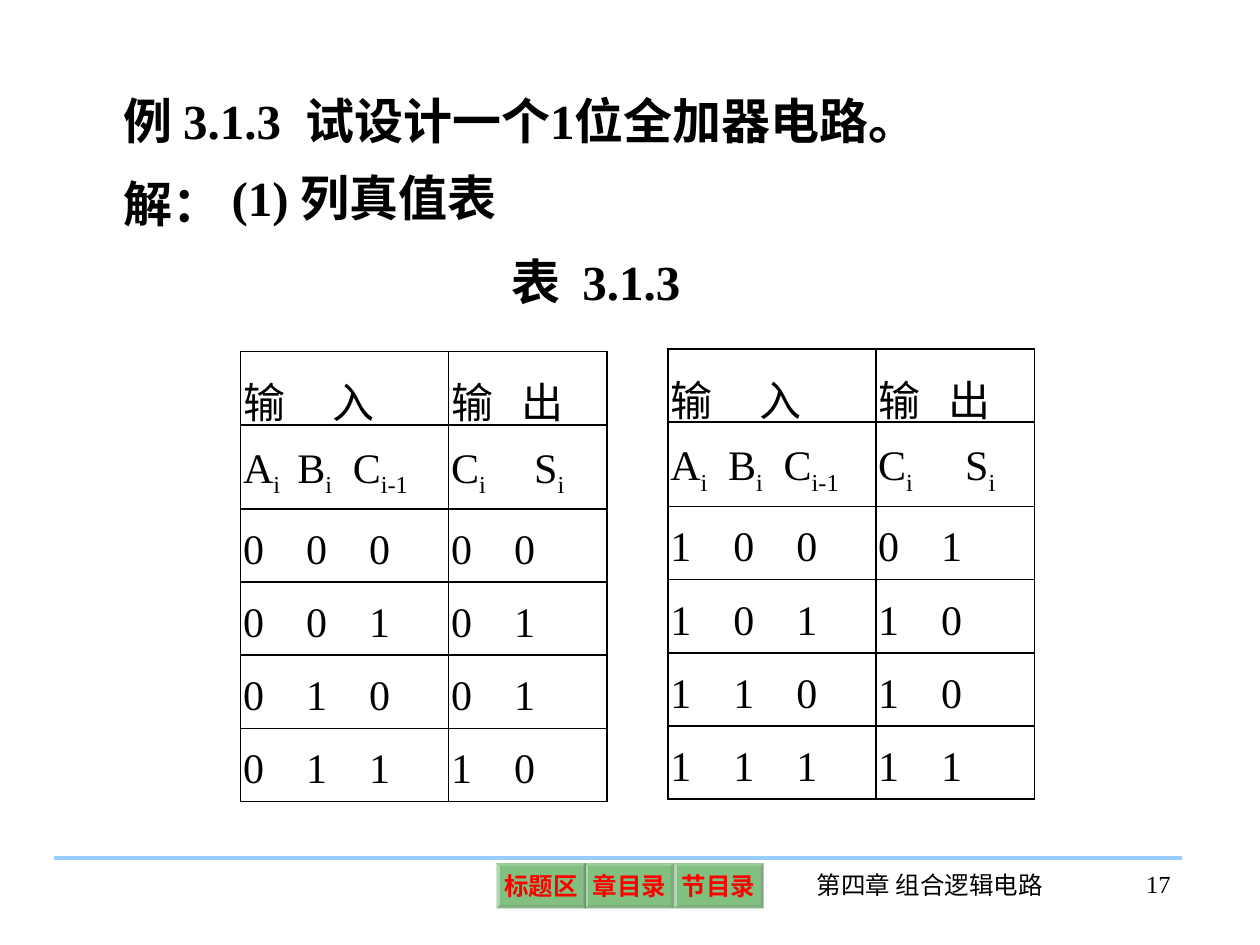
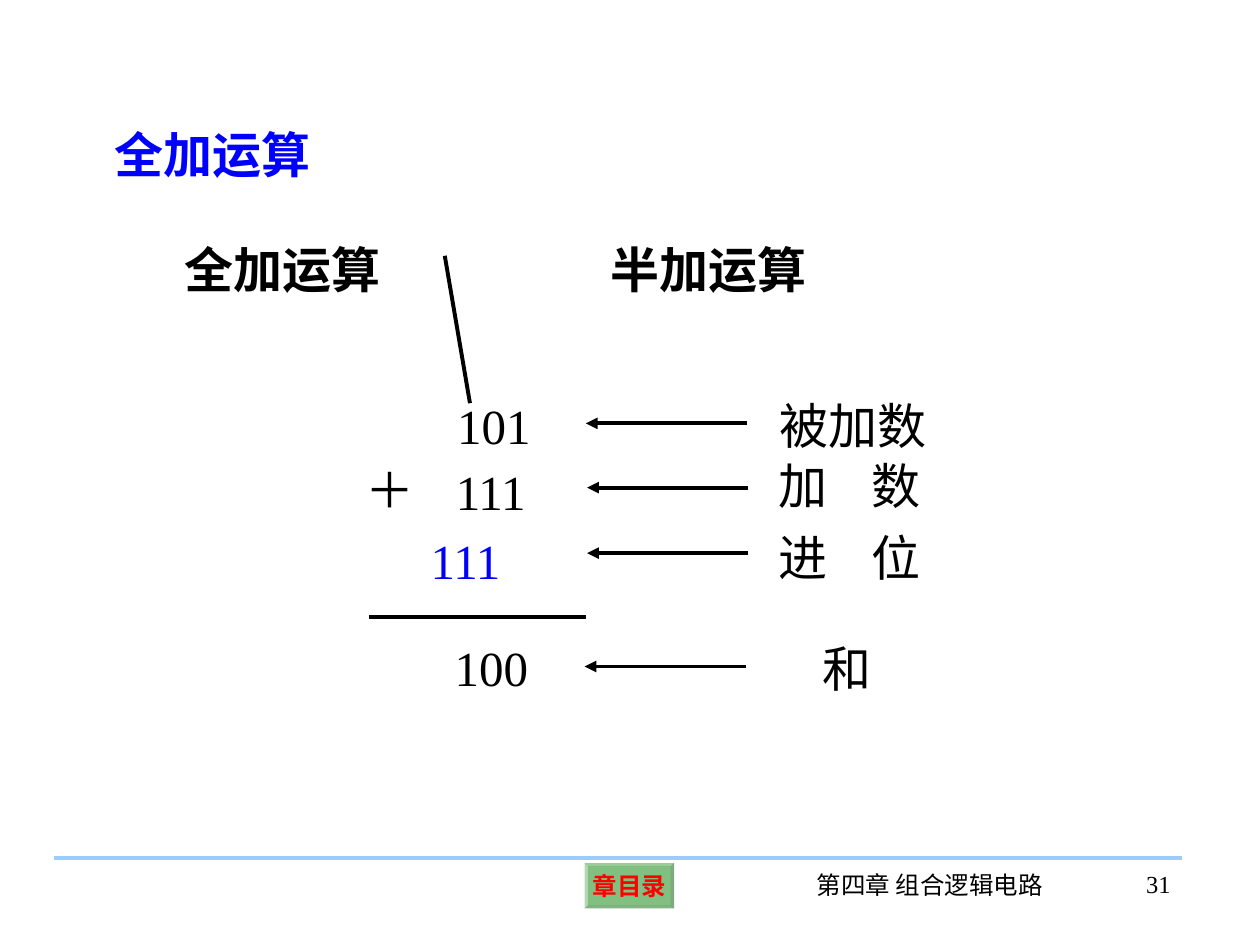
"""Build two slides on the design of a one-bit full adder."""
from lxml.etree import SubElement
from pptx import Presentation
from pptx.dml.color import RGBColor
from pptx.enum.shapes import MSO_CONNECTOR, MSO_SHAPE
from pptx.enum.text import MSO_ANCHOR, PP_ALIGN
from pptx.oxml.ns import qn
from pptx.util import Inches, Pt

COLORS = {"text": "000000", "accent": "0000FF", "button": "008000",
          "label": "FF0000", "rule": "99CCFF"}
FONT = "Times New Roman"
LEFT, CENTER, RIGHT = PP_ALIGN.LEFT, PP_ALIGN.CENTER, PP_ALIGN.RIGHT


def rgb(name):
    """Return the named colour."""
    return RGBColor.from_string(COLORS[name])


def write(tf, text, size=28, bold=False, color="text", align=LEFT, tabs=(),
          before=0, spacing=None):
    """Fill a text frame; every second part between bars is a subscript."""
    p = tf.paragraphs[0]
    p.alignment, p.space_before, p.line_spacing = align, Pt(before), spacing
    if tabs:
        stops = SubElement(p._p.get_or_add_pPr(), qn("a:tabLst"))
        for pos in tabs:
            SubElement(stops, qn("a:tab"), pos=str(Inches(pos)), algn="l")
    for i, part in enumerate(text.split("|")):
        if not part:
            continue
        r = p.add_run()
        r.text = part
        r.font.name, r.font.size, r.font.bold = FONT, Pt(size), bold
        r.font.color.rgb = rgb(color)
        if i % 2:
            r._r.get_or_add_rPr().set("baseline", "-25000")


class Deck:
    """Hold the presentation style and the current slide."""

    def __init__(self):
        """Start an empty 10 by 7.5 inch deck."""
        self.prs = Presentation()
        self.prs.slide_width, self.prs.slide_height = Inches(10), Inches(7.5)
        self.s = None

    def slide(self, number):
        """Add a slide with the shared footer."""
        self.s = self.prs.slides.add_slide(self.prs.slide_layouts[6])
        self.button("章目录", 4.64)
        self.line(0.43, 6.81, 9.38, 6.81, color="rule")
        self.text("第四章 组合逻辑电路", 6.24, 6.86, 2.28, 0.5, size=14, align=CENTER)
        self.text(str(number), 8.53, 6.85, 0.86, 0.5, size=14, align=RIGHT)

    def text(self, text, x, y, w, h=0.57, inset=(0.1, 0.05), wrap=True, **fmt):
        """Add a text box."""
        sp = self.s.shapes.add_textbox(Inches(x), Inches(y), Inches(w), Inches(h))
        self.frame(sp.text_frame, inset, wrap)
        write(sp.text_frame, text, **fmt)

    def frame(self, tf, inset, wrap):
        """Set the insets and wrapping of a text frame."""
        tf.margin_left = tf.margin_right = Inches(inset[0])
        tf.margin_top = tf.margin_bottom = Inches(inset[1])
        tf.word_wrap = wrap

    def button(self, label, x):
        """Add a translucent bevelled button to the footer."""
        sp = self.s.shapes.add_shape(MSO_SHAPE.BEVEL, Inches(x), Inches(6.85),
                                     Inches(0.71), Inches(0.36))
        sp.adjustments[0] = 0.07
        sp.shadow.inherit = False
        sp.line.fill.background()
        sp.fill.solid()
        sp.fill.fore_color.rgb = rgb("button")
        clr = sp._element.spPr.find(qn("a:solidFill"))[0]
        SubElement(clr, qn("a:alpha"), val="49000")
        self.frame(sp.text_frame, (0.04, 0.04), False)
        sp.text_frame.vertical_anchor = MSO_ANCHOR.MIDDLE
        write(sp.text_frame, label, size=14, bold=True, color="label", align=CENTER)

    def line(self, x1, y1, x2, y2, color="text", arrow=False):
        """Add a straight line, with an arrowhead at its end if asked."""
        c = self.s.shapes.add_connector(MSO_CONNECTOR.STRAIGHT, Inches(x1), Inches(y1),
                                        Inches(x2), Inches(y2))
        c.line.color.rgb, c.line.width = rgb(color), Pt(2.25)
        if arrow:
            SubElement(c.line._get_or_add_ln(), qn("a:tailEnd"), type="triangle")
        SubElement(c._element.spPr, qn("a:effectLst"))

    def cell(self, cell, text, tabs):
        """Format and fill one bordered table cell."""
        cell.margin_left = cell.margin_right = Inches(0.02)
        cell.margin_top = cell.margin_bottom = Inches(0.05)
        cell.vertical_anchor = MSO_ANCHOR.MIDDLE
        write(cell.text_frame, text, size=24, tabs=tabs, before=6, spacing=1.2)
        pr = cell._tc.get_or_add_tcPr()
        for side in ("lnL", "lnR", "lnT", "lnB"):
            ln = SubElement(pr, qn("a:" + side), w=str(Pt(1.08)))
            fill = SubElement(ln, qn("a:solidFill"))
            SubElement(fill, qn("a:srgbClr"), val=COLORS["text"])
        cell.fill.background()

    def truth_table(self, x, y, rows, shift=0):
        """Add a truth table; shift moves the tab stops of the symbol row."""
        widths, heights = (1.65, 1.26), [0.58, 0.67] + [0.58] * len(rows)
        frame = self.s.shapes.add_table(len(heights), 2, Inches(x), Inches(y),
                                        Inches(sum(widths)), Inches(sum(heights)))
        tbl = frame.table
        tbl.first_row = tbl.horz_banding = False
        for col, w in zip(tbl.columns, widths):
            col.width = Inches(w)
        for row, h in zip(tbl.rows, heights):
            row.height = Inches(h)
        heads = [[("输\t入", [0.71]), ("输\t出", [0.56])],
                 [("A|i|\tB|i|\tC|i-1", [0.43 + shift, 0.87 + shift]),
                  ("C|i|\tS|i", [0.66 + shift])]]
        body = [[("\t".join(bits), [0.5, 1]) for bits in row] for row in rows]
        for i, row in enumerate(heads + body):
            for j, (text, tabs) in enumerate(row):
                self.cell(tbl.cell(i, j), text, tabs)


def truth_table_slide(deck):
    """Show the full adder's truth table in two halves."""
    deck.slide(17)
    for text, x, y, w in [("例 3.1.3  试设计一个1位全加器电路。", 0.88, 0.67, 8.33),
                          ("解：", 0.88, 1.33, 1.29),
                          ("(1) 列真值表", 1.74, 1.28, 2.54),
                          ("表  3.1.3", 3.96, 1.95, 2.09)]:
        deck.text(text, x, y, w, bold=True)
    deck.truth_table(1.91, 2.79, [("000", "00"), ("001", "01"),
                                  ("010", "01"), ("011", "10")])
    deck.truth_table(5.3, 2.77, [("100", "01"), ("101", "10"),
                                 ("110", "10"), ("111", "11")], shift=0.03)
    for label, x in (("标题区", 3.94), ("节目录", 5.35)):
        deck.button(label, x)


def addition_slide(deck):
    """Show a binary addition with its terms labelled."""
    deck.slide(31)
    deck.text("全加运算", 0.81, 0.94, 2.43, bold=True, color="accent")
    deck.text("＋", 2.8, 3.6, 0.59, wrap=False, align=CENTER)
    deck.line(2.93, 4.9, 4.65, 4.9)
    terms = [("101", 3.53, 3.09, "text", "被加数", 6.09, 3.09, 4.65, 3.36),
             ("111", 3.52, 3.61, "text", "加\t数", 6.08, 3.57, 4.66, 3.87),
             ("111", 3.32, 4.16, "accent", "进\t位", 6.08, 4.14, 4.66, 4.39),
             ("100", 3.51, 5.01, "text", "和", 6.43, 5.02, 4.64, 5.29)]
    for digits, x, y, color, name, name_x, name_y, tip_x, tip_y in terms:
        deck.text(digits, x, y, 0.9, color=color)
        deck.text(name, name_x, name_y, 1.58, tabs=[0.74])
        deck.line(tip_x + 1.28, tip_y, tip_x, tip_y, arrow=True)
    for text, x, w in (("半加运算", 4.8, 1.65), ("全加运算", 1.36, 1.77)):
        deck.text(text, x, 1.9, w, 0.67, inset=(0, 0), bold=True, align=CENTER)
    deck.line(3.53, 2.03, 3.73, 3.2)


def main():
    """Build and save the deck."""
    deck = Deck()
    truth_table_slide(deck)
    addition_slide(deck)
    deck.prs.save("out.pptx")


if __name__ == "__main__":
    main()
